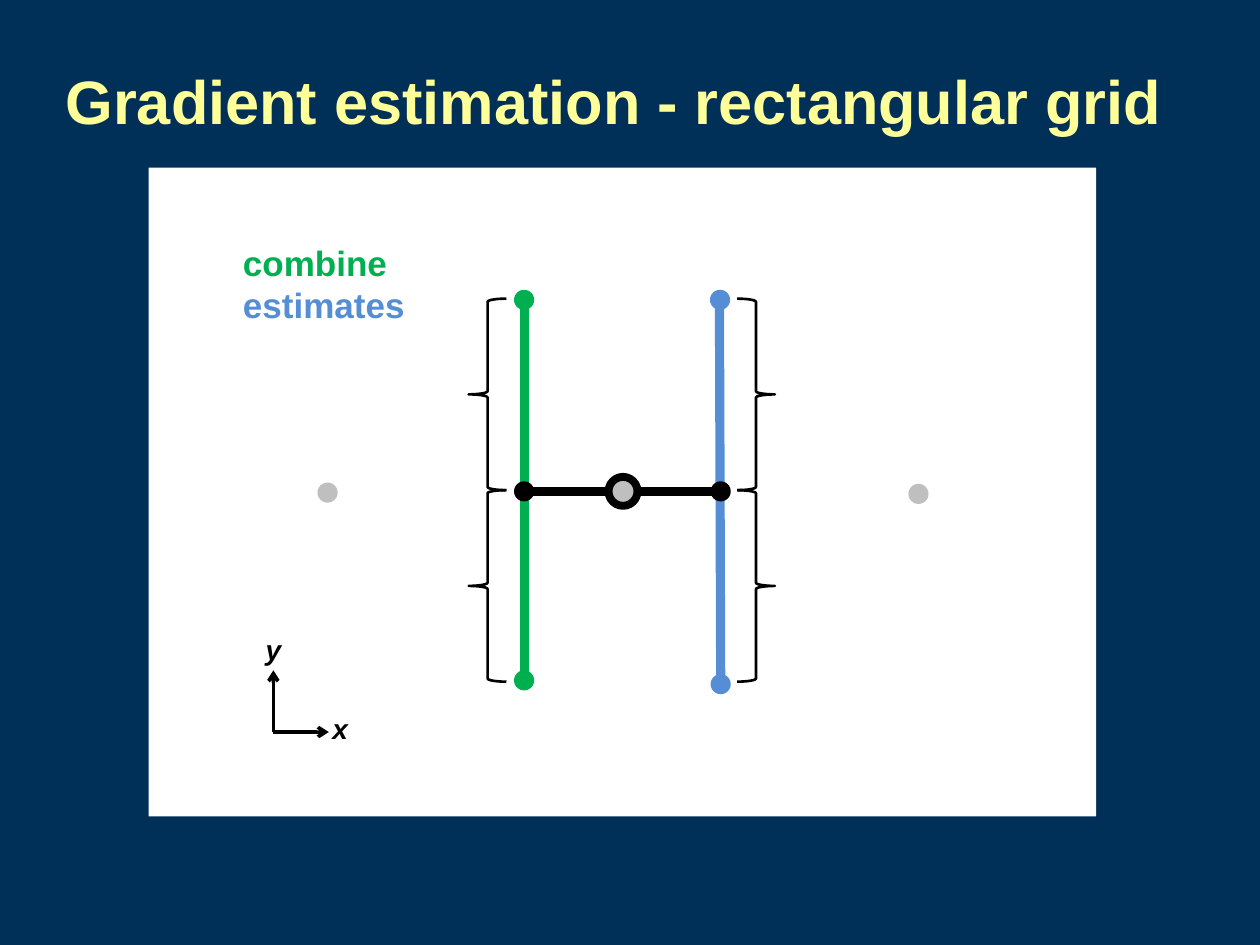
from pptx import Presentation
from pptx.dml.color import RGBColor
from pptx.enum.shapes import MSO_CONNECTOR, MSO_SHAPE
from pptx.enum.text import MSO_ANCHOR, MSO_AUTO_SIZE, PP_ALIGN
from pptx.oxml.ns import qn
from pptx.util import Inches, Pt
from lxml.etree import SubElement

COLS, ROWS = 100, 75
NAVY, WHITE, BLACK, GREY = "002F57", "FFFFFF", "000000", "BFBFBF"
GREEN, BLUE, CREAM = "00B050", "558ED5", "FFFF99"


def paint(target, color):
    if hasattr(target, "solid"):
        target.solid()
        target = target.fore_color
    target.rgb = RGBColor.from_string(color)


def write(para, text, size=20, color=BLACK, bold=True, italic=False):
    para.alignment = PP_ALIGN.LEFT
    run = para.add_run()
    run.text = text
    font = run.font
    font.name, font.size = "Arial", Pt(size)
    font.bold, font.italic = bold, italic
    paint(font.color, color)


class Board:
    def __init__(self, deck):
        self.wide, self.high = deck.slide_width, deck.slide_height
        self.slide = deck.slides.add_slide(deck.slide_layouts[5])
        paint(self.slide.background.fill, NAVY)

    def place(self, col, row):
        return round(col * self.wide / COLS), round(row * self.high / ROWS)

    def title(self, text, left, top, width, height):
        box = self.slide.shapes.title
        box.left, box.top = self.place(left, top)
        box.width, box.height = self.place(width, height)
        box.text_frame.vertical_anchor = MSO_ANCHOR.MIDDLE
        write(box.text_frame.paragraphs[0], text, size=35, color=CREAM)

    def shape(self, kind, left, top, width, height, fill=None, line=None, weight=1.5):
        item = self.slide.shapes.add_shape(
            kind, *self.place(left, top), *self.place(width, height))
        item.shadow.inherit = False
        if fill:
            paint(item.fill, fill)
        else:
            item.fill.background()
        if line:
            paint(item.line.fill, line)
            item.line.width = Pt(weight)
        else:
            item.line.fill.background()
        return item

    def dot(self, col, row, fill, size=1.6, **style):
        self.shape(MSO_SHAPE.OVAL, col - size / 2, row - size / 2,
                   size, size, fill, **style)

    def line(self, start, end, color=BLACK, weight=5.25, arrow=False):
        item = self.slide.shapes.add_connector(
            MSO_CONNECTOR.STRAIGHT, *self.place(*start), *self.place(*end))
        paint(item.line.fill, color)
        item.line.width = Pt(weight)
        if arrow:
            SubElement(item.line._get_or_add_ln(), qn("a:tailEnd"), type="arrow")
        SubElement(item._element.spPr, qn("a:effectLst"))

    def label(self, left, top, width, height, *lines, **style):
        frame = self.slide.shapes.add_textbox(
            *self.place(left, top), *self.place(width, height)).text_frame
        frame.word_wrap = True
        frame.auto_size = MSO_AUTO_SIZE.SHAPE_TO_FIT_TEXT
        for index, (text, color) in enumerate(lines):
            para = frame.add_paragraph() if index else frame.paragraphs[0]
            write(para, text, color=color, **style)


def main():
    deck = Presentation()
    deck.slide_width, deck.slide_height = Inches(10), Inches(7.5)
    board = Board(deck)
    board.title("Gradient estimation - rectangular grid", 4.2, 1.7, 90.8, 12.5)
    board.shape(MSO_SHAPE.RECTANGLE, 11.8, 13.3, 75.2, 51.5, WHITE)

    left, right, mid, top = 41.6, 57.2, 39, 23.8
    board.line((left, 53.5), (left, 24.2), GREEN)
    board.line((right, 53.6), (right - 0.1, 24), BLUE)
    board.line((left, mid), (right, mid))

    for col, row, color in (
        (left, mid, BLACK), (right, mid, BLACK),
        (26, 39.1, GREY), (72.9, 39.2, GREY),
        (right - 0.05, top, BLUE), (right, 54.3, BLUE),
        (left, top, GREEN), (left, 54, GREEN),
    ):
        board.dot(col, row, color)
    board.dot((left + right) / 2 + 0.05, mid, GREY, size=2.3, line=BLACK, weight=4.5)

    span = 15.2
    for kind, col in ((MSO_SHAPE.LEFT_BRACE, 37.2), (MSO_SHAPE.RIGHT_BRACE, 58.5)):
        for step in range(2):
            board.shape(kind, col, 23.7 + step * span, 3, span, line=BLACK)

    corner = (21.7, 58.1)
    for tip in ((21.7, 53.2), (26.1, 58.1)):
        board.line(corner, tip, weight=2, arrow=True)
    for name, col, row in (("x", 25.4, 56), ("y", 20.1, 49.7)):
        board.label(col, row, 3.8, 3.7, (name, BLACK), size=16, italic=True)
    board.label(18.3, 18.7, 23.1, 7.7, ("combine", GREEN), ("estimates", BLUE))

    deck.save("out.pptx")


if __name__ == "__main__":
    main()
